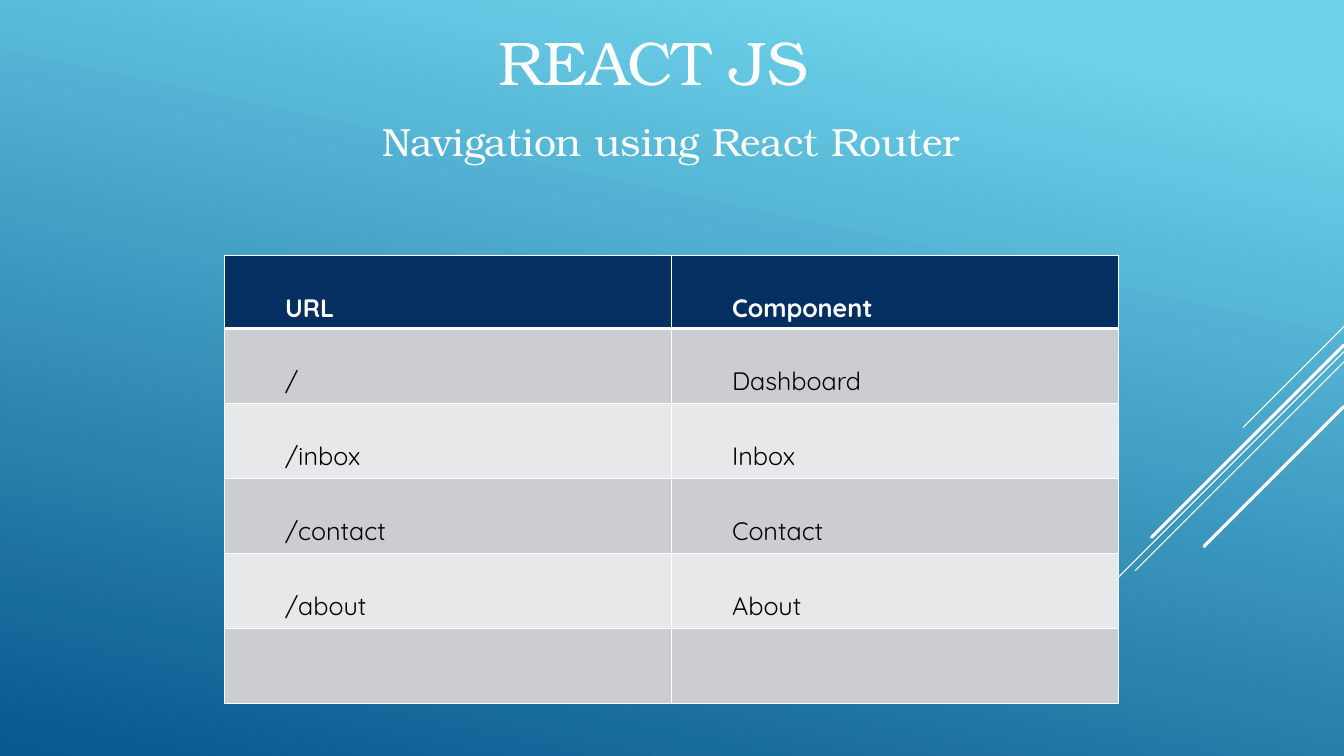
from lxml.etree import SubElement
from pptx import Presentation
from pptx.dml.color import RGBColor
from pptx.enum.shapes import MSO_CONNECTOR
from pptx.enum.text import MSO_ANCHOR, MSO_AUTO_SIZE, PP_ALIGN
from pptx.oxml import parse_xml
from pptx.oxml.ns import nsdecls, qn
from pptx.util import Cm, Pt

WHITE = RGBColor(0xFF, 0xFF, 0xFF)
BLACK = RGBColor(0, 0, 0)
NAVY = RGBColor(0x05, 0x2F, 0x61)
SKY = RGBColor(0x6E, 0xD2, 0xEB)
SEA = RGBColor(0x06, 0x58, 0x8E)
BANDS = RGBColor(0xCC, 0xCD, 0xD2), RGBColor(0xE7, 0xE8, 0xEA)

SERIF = "TeX Gyre Bonum"
SANS = "Quicksand"
WIDE, HIGH = 33.87, 19.05

# Diagonal rays from the right edge: start height, reach, weight
RAYS = [
    (8.23, 2.54, 0.75),
    (8.86, 8.28, 0.75),
    (9.12, 5.26, 0.75),
    (8.69, 4.85, 2.25),
    (10.24, 3.53, 2.25),
]

ROUTES = [
    ("URL", "Component"),
    ("/", "Dashboard"),
    ("/inbox", "Inbox"),
    ("/contact", "Contact"),
    ("/about", "About"),
    ("", ""),
]


def write(frame, text, font=SANS, size=18, color=BLACK, bold=False,
          align=PP_ALIGN.LEFT, space=1.0, indent=0):
    para = frame.paragraphs[0]
    para.alignment = align
    para.line_spacing = space
    props = para._p.get_or_add_pPr()
    props.set("marL", str(Cm(indent)))
    props.set("indent", "0")
    run = para.add_run()
    run.text = text
    run.font.name = font
    run.font.size = Pt(size)
    run.font.bold = bold
    run.font.color.rgb = color


class Deck:
    def __init__(self):
        self.prs = Presentation()
        self.prs.slide_width, self.prs.slide_height = Cm(WIDE), Cm(HIGH)
        self.slide = self.prs.slides.add_slide(self.prs.slide_layouts[0])

    def back(self, first, last, angle):
        fill = self.slide.background.fill
        fill.gradient()
        fill.gradient_angle = 360 - angle
        for stop, color, place in zip(fill.gradient_stops, (first, last), (0.1, 1)):
            stop.color.rgb = color
            stop.position = place

    def ray(self, top, reach, weight):
        line = self.slide.shapes.add_connector(
            MSO_CONNECTOR.STRAIGHT, Cm(WIDE), Cm(top), Cm(WIDE - reach), Cm(top + reach))
        line.line.color.rgb = WHITE
        line.line.width = Pt(weight)
        line.line._get_or_add_ln().set("cap", "rnd")
        SubElement(line._element.spPr, qn("a:effectLst"))

    def head(self, index, box, text, size, anchor):
        shape = self.slide.placeholders[index]
        shape.left, shape.top, shape.width, shape.height = map(Cm, box)
        frame = shape.text_frame
        frame.word_wrap = True
        frame.auto_size = MSO_AUTO_SIZE.NONE
        frame.vertical_anchor = anchor
        write(frame, text, font=SERIF, size=size, color=WHITE, align=PP_ALIGN.CENTER)
        frame.paragraphs[0].space_before = Pt(0)

    def edge(self, cell, **widths):
        props = cell._tc.get_or_add_tcPr()
        for spot, side in enumerate("LRTB"):
            props.insert(spot, parse_xml(
                f'<a:ln{side} {nsdecls("a")} w="{Pt(widths.get(side, 1))}">'
                f'<a:solidFill><a:srgbClr val="{WHITE}"/></a:solidFill></a:ln{side}>'))

    def table(self, left, top, width, first, rest, rows):
        count = len(rows[0])
        high = first + rest * (len(rows) - 1)
        grid = self.slide.shapes.add_table(
            len(rows), count, Cm(left), Cm(top), Cm(width), Cm(high)).table
        for r, row in enumerate(rows):
            grid.rows[r].height = Cm(rest if r else first)
            for c, text in enumerate(row):
                cell = grid.cell(r, c)
                cell.fill.solid()
                cell.fill.fore_color.rgb = BANDS[(r - 1) % 2] if r else NAVY
                # The rule below the header is heavier
                self.edge(cell, T=3 if r == 1 else 1, B=1 if r else 3)
                if text:
                    write(cell.text_frame, text, color=BLACK if r else WHITE,
                          bold=r == 0, space=2.0, indent=1.27)


def main():
    deck = Deck()

    # Backdrop
    deck.back(SKY, SEA, 102)
    for ray in RAYS:
        deck.ray(*ray)

    # Headings
    deck.head(0, (3, 0.46, 26.95, 2.13), "REACT JS", 44, MSO_ANCHOR.MIDDLE)
    deck.head(1, (1.85, 2.84, 30.12, 2.64), "Navigation using React Router",
              28, MSO_ANCHOR.TOP)

    # Routes
    deck.table(5.66, 6.43, 22.53, 1.83, 1.89, ROUTES)

    deck.prs.save("out.pptx")


if __name__ == "__main__":
    main()
